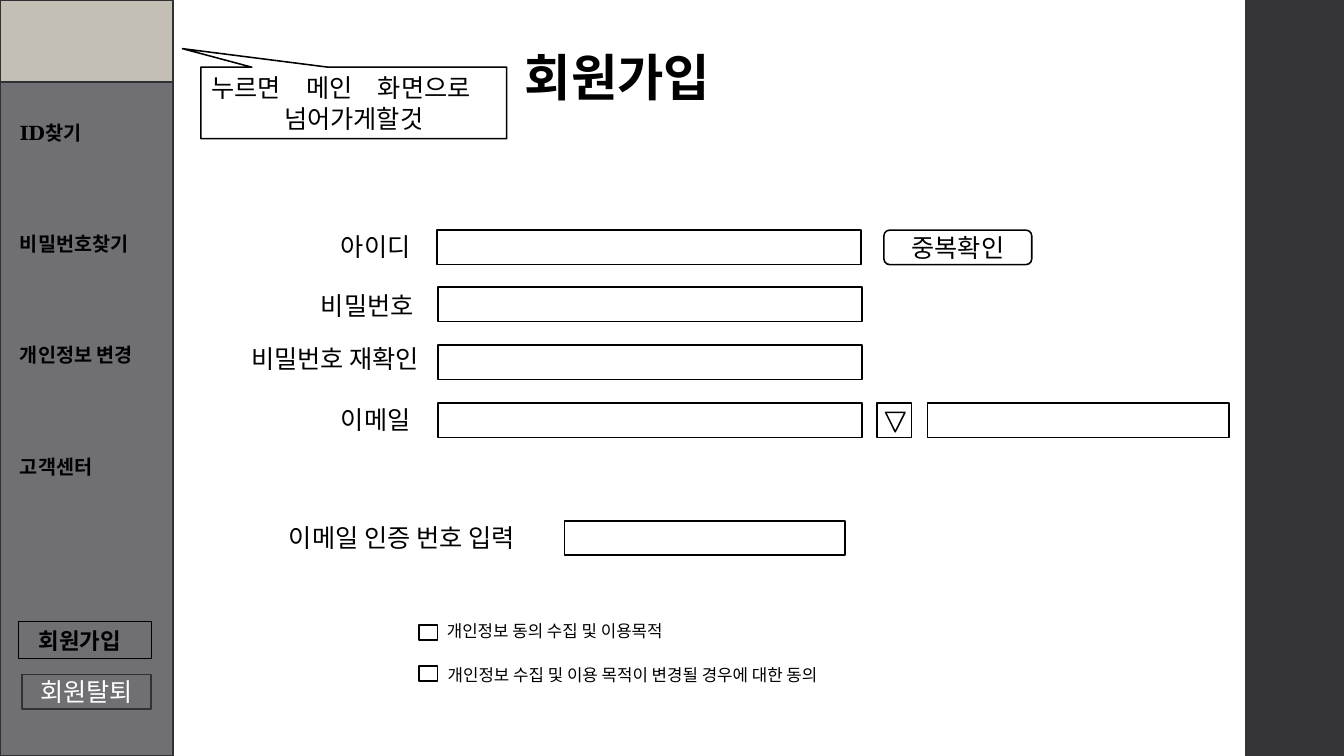
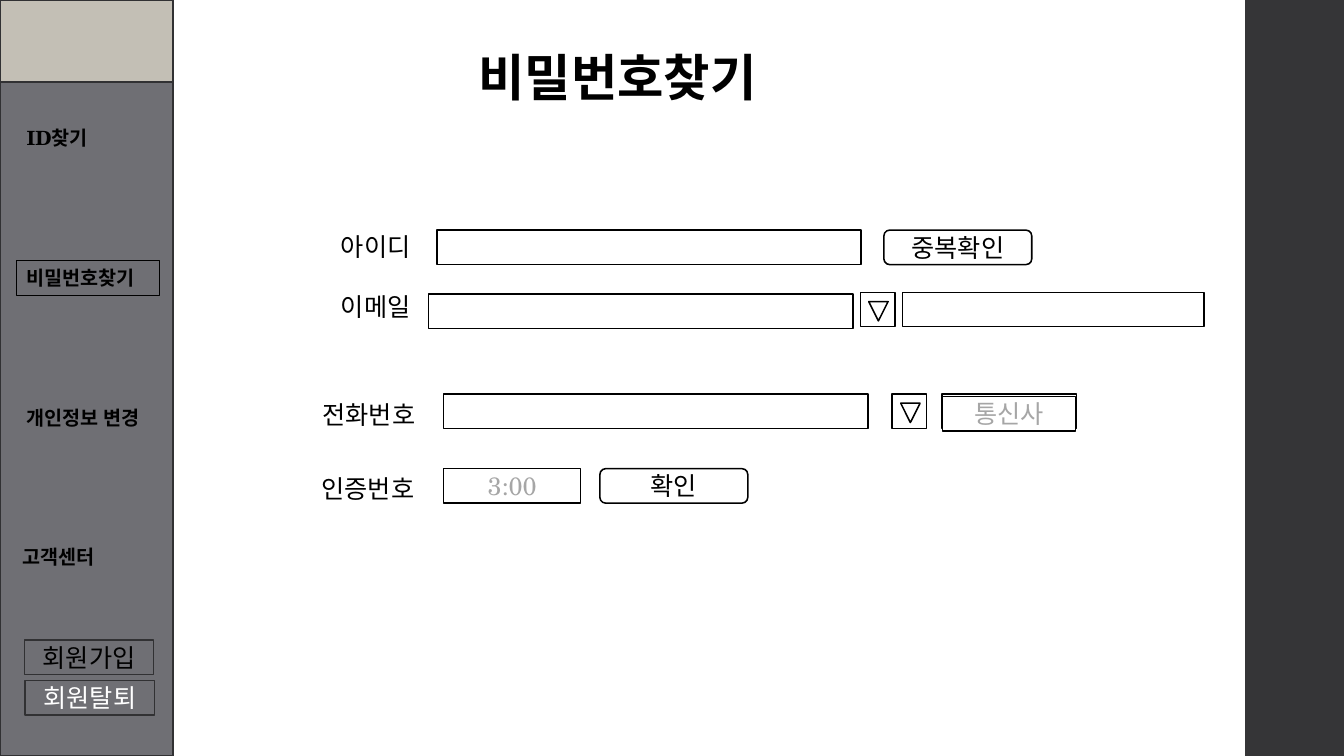
"""Two wireframe screens, sign-up and password search, on a grid of 160 by 90 cells."""
from pptx import Presentation
from pptx.dml.color import RGBColor
from pptx.enum.shapes import MSO_SHAPE as Kind
from pptx.enum.text import MSO_ANCHOR as Anchor, PP_ALIGN as Align
from pptx.util import Inches, Pt

deck = Presentation()
deck.slide_width, deck.slide_height = Inches(13.33), Inches(7.5)
cell = deck.slide_height / 90
hue = RGBColor.from_string
FONT = "TeX Gyre Schola"
BLACK, WHITE, PALE = "000000", "FFFFFF", "A6A6A6"
DARK, GREY, SAND, EDGE = "353537", "6F6F74", "C3BFB5", "313133"
HIGH, WIDE, PUSH = 4.1, 50.5, 17.6


def write(frame, text, size=18, ink=BLACK, bold=False, align=Align.LEFT, anchor=Anchor.TOP):
    frame.word_wrap = True
    frame.vertical_anchor = anchor
    para = frame.paragraphs[0]
    para.alignment = align
    run = para.add_run()
    run.text = text
    font = run.font
    font.name, font.size, font.bold = FONT, Pt(size), bold
    font.color.rgb = hue(ink)


def draw(page, at, text="", kind=Kind.RECTANGLE, fill=WHITE, edge=BLACK, thick=1.1, **look):
    spot = [round(n * cell) for n in at]
    if kind is None:
        item = page.shapes.add_textbox(*spot)
    else:
        item = page.shapes.add_shape(kind, *spot)
        item.shadow.inherit = False
        if fill:
            item.fill.solid()
            item.fill.fore_color.rgb = hue(fill)
        else:
            item.fill.background()
        if edge:
            item.line.color.rgb = hue(edge)
            item.line.width = Pt(thick)
        else:
            item.line.fill.background()
        look = {"align": Align.CENTER, "anchor": Anchor.MIDDLE, **look}
    if text:
        write(item.text_frame, text, **look)
    return item


menu = ["ID찾기", "비밀번호찾기", "개인정보 변경", "고객센터"]
screens = [
    {
        "title": "회원가입",
        "menu": (13.8, 13.24, [1.2, 1.2, 1.2, 1.2]),
        "leave": (2.6, 80.3),
        "labels": [("아이디", 39.4, 26.9), ("비밀번호", 37, 34),
                   ("비밀번호 재확인", 28.7, 40.3), ("이메일", 39.4, 47.5)],
        "fields": [(52, 27.4), (52.1, 34.2), (52.1, 41.1), (52.1, 48)],
        "picks": [(104.4, 48)],
        "blanks": [(110.4, 48, 35.9)],
        "pushes": [("중복확인", 105.2, 27.4)],
    },
    {
        "title": "비밀번호찾기",
        "menu": (14.4, 16.64, [2, 2, 2, 1.5]),
        "leave": (3, 81),
        "labels": [("아이디", 39.4, 26.9), ("이메일", 39.4, 34.1),
                   ("전화번호", 37.2, 46.9), ("인증번호", 37.1, 55.8)],
        "fields": [(52, 27.4), (51, 35), (52.8, 46.9)],
        "picks": [(102.4, 34.8), (106.2, 46.9)],
        "blanks": [(107.4, 34.8, 35.9), (112.1, 46.9, 16)],
        "pushes": [("중복확인", 105.2, 27.4), ("확인", 71.4, 55.8)],
    },
]

pages = []
for plan in screens:
    page = deck.slides.add_slide(deck.slide_layouts[5])
    pages.append(page)
    title = page.shapes.title
    title.left, title.top, title.width, title.height = [
        round(n * cell) for n in (46.4, 4.9, 54.2, 8.5)]
    write(title.text_frame, plan["title"], 36, bold=True, align=Align.CENTER)

    draw(page, (0, 0, 20.6, 90), fill=SAND, edge=EDGE)
    draw(page, (0, 9.8, 20.6, 80.2), fill=GREY, edge=EDGE)
    top, step, lefts = plan["menu"]
    for row, (text, left) in enumerate(zip(menu, lefts)):
        chosen = text == plan["title"]
        draw(page, (left, top + row * step, 17, HIGH), text,
             Kind.RECTANGLE if chosen else None, None, thick=0.75,
             size=14, bold=True, align=Align.LEFT)
    draw(page, (*plan["leave"], 15.4, HIGH), "회원탈퇴", fill=GREY, edge=EDGE, ink=WHITE)

    for left, top in plan["fields"]:
        draw(page, (left, top, WIDE, HIGH))
    for text, left, top in plan["labels"]:
        draw(page, (left, top, 55.8 - left, 4.8), text, None)
    for left, top in plan["picks"]:
        draw(page, (left, top, HIGH, HIGH))
        draw(page, (left + 1, top + 1.1, 2.3, 2.3), kind=Kind.FLOWCHART_MERGE)
    for left, top, width in plan["blanks"]:
        draw(page, (left, top, width, HIGH))
    for text, left, top in plan["pushes"]:
        draw(page, (left, top, PUSH, HIGH), text, Kind.ROUNDED_RECTANGLE)

join, find = pages
band = draw(join, (148.2, 0, 12, 90), fill=DARK, edge=None)
deck.slide_master.shapes.element.append(band.element)

draw(join, (67.2, 62, 33.4, HIGH))
draw(join, (33.2, 61.6, 41.5, 4.8), "이메일 인증 번호 입력", None)
terms = [("개인정보 동의 수집 및 이용목적", 52, 73.3, 74.4),
         ("개인정보 수집 및 이용 목적이 변경될 경우에 대한 동의", 52.1, 78.5, 79.3)]
for text, left, top, tick in terms:
    draw(join, (left, top, 81.2, 3.6), text, None, size=12)
    draw(join, (49.9, tick, 2.2, 1.8))
tab = draw(join, (2.2, 74, 15.8, 4.4), "회원가입", fill=None, thick=0.75,
           size=16, bold=True, align=Align.LEFT)
tab.text_frame.margin_left = round(2.4 * cell)
note = draw(join, (23.9, 8, 36.4, 8.5), "누르면　메인　화면으로　넘어가게할것",
            Kind.RECTANGULAR_CALLOUT)
note.adjustments[0], note.adjustments[1] = -0.56, -0.76

draw(find, (52.8, 55.8, 16.3, HIGH), "3:00", ink=PALE)
draw(find, (112.2, 47.2, 15.8, HIGH), "통신사", ink=PALE)
draw(find, (2.9, 76.2, 15.4, HIGH), "회원가입", fill=GREY, edge=EDGE)

deck.save("out.pptx")
